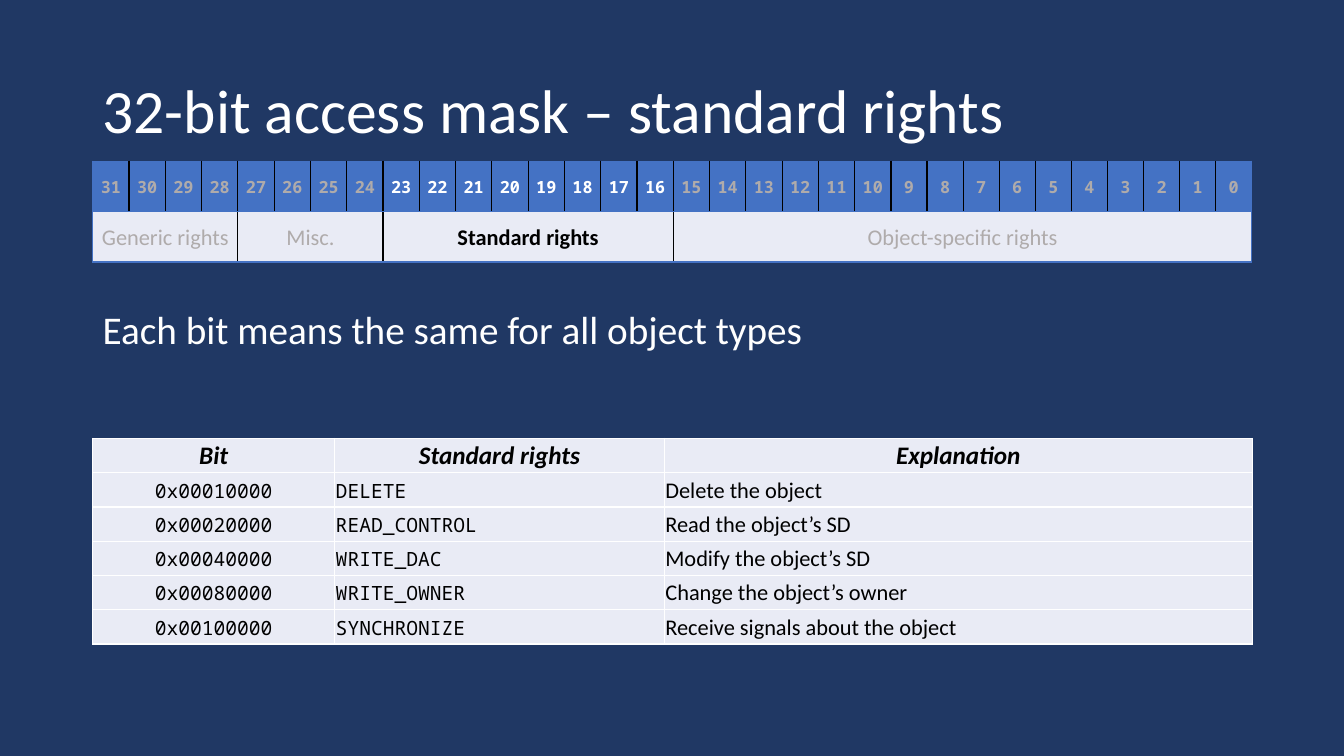
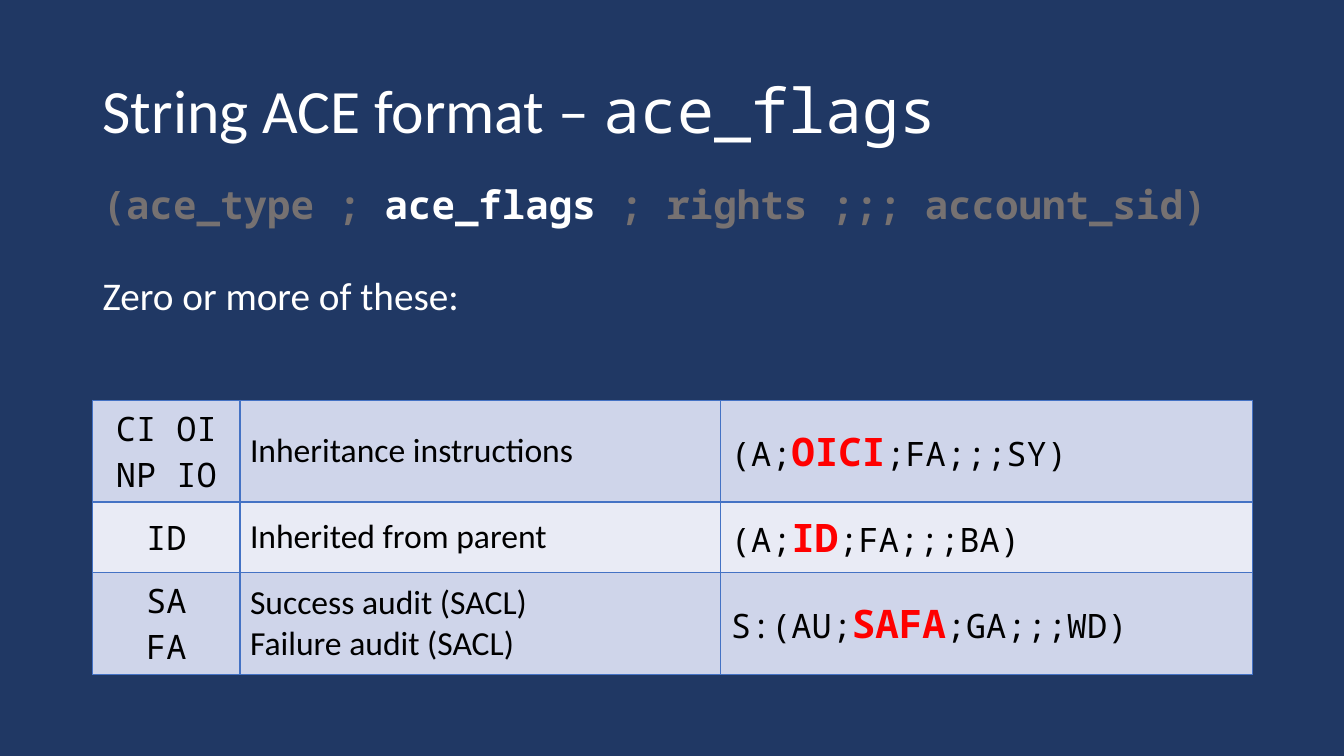
from dataclasses import dataclass, replace

from lxml.etree import SubElement
from pptx import Presentation
from pptx.dml.color import RGBColor
from pptx.enum.text import MSO_ANCHOR, PP_ALIGN
from pptx.oxml.ns import qn
from pptx.util import Inches, Pt


@dataclass(frozen=True)
class Style:
    size: int
    color: str
    font: str = "Calibri"
    bold: bool = False
    italic: bool = False


@dataclass(frozen=True)
class Theme:
    background: str = "203864"
    white: str = "FFFFFF"
    black: str = "000000"
    accent: str = "4472C4"
    band_dark: str = "CFD5EA"
    band_light: str = "E9EBF5"
    faded: str = "AFABAB"
    dimmed: str = "767171"
    highlight: str = "FF0000"
    mono: str = "Noto Sans Mono"
    left: float = 0.92
    width: float = 11.5


@dataclass(frozen=True)
class Cell:
    """Table cell; each paragraph is a list of (text, style) runs."""
    paragraphs: list
    fill: str
    centered: bool = False
    span: int = 1


THEME = Theme()
TITLE = Style(44, THEME.white)
TITLE_CODE = replace(TITLE, font=THEME.mono)
BODY = Style(28, THEME.white)
SYNTAX = Style(28, THEME.white, THEME.mono, bold=True)
SYNTAX_DIMMED = replace(SYNTAX, color=THEME.dimmed)
RIGHTS_HEADER = Style(18, THEME.black, bold=True, italic=True)
RIGHTS_TEXT = Style(16, THEME.black)
RIGHTS_CODE = Style(14, THEME.black, THEME.mono)
BIT_FADED = Style(12, THEME.faded, THEME.mono, bold=True)
BIT_ACTIVE = replace(BIT_FADED, color=THEME.white)
FIELD_FADED = Style(16, THEME.faded)
FIELD_ACTIVE = Style(16, THEME.black, bold=True)
FLAG_TEXT = Style(24, THEME.black)
FLAG_CODE = replace(FLAG_TEXT, font=THEME.mono)
FLAG_MARKED = Style(28, THEME.highlight, THEME.mono, bold=True)

MASK_FIELDS = [("Generic rights", 4), ("Misc.", 4), ("Standard rights", 8), ("Object-specific rights", 16)]
ACTIVE_FIELD = "Standard rights"
RIGHTS_HEADINGS = ["Bit", "Standard rights", "Explanation"]
RIGHTS = [
    ("0x00010000", "DELETE", "Delete the object"),
    ("0x00020000", "READ_CONTROL", "Read the object’s SD"),
    ("0x00040000", "WRITE_DAC", "Modify the object’s SD"),
    ("0x00080000", "WRITE_OWNER", "Change the object’s owner"),
    ("0x00100000", "SYNCHRONIZE", "Receive signals about the object"),
]
ACE_FLAGS = [
    (["CI OI NP IO"], ["Inheritance instructions"], ("(A;", "OICI", ";FA;;;SY)")),
    (["ID"], ["Inherited from parent"], ("(A;", "ID", ";FA;;;BA)")),
    (["SA", "FA"], ["Success audit (SACL)", "Failure audit (SACL)"], ("S:(AU;", "SAFA", ";GA;;;WD)")),
]


def write_runs(paragraph, runs):
    for text, style in runs:
        run = paragraph.add_run()
        run.text = text
        run.font.size = Pt(style.size)
        run.font.name = style.font
        run.font.bold = style.bold
        run.font.italic = style.italic
        run.font.color.rgb = RGBColor.from_string(style.color)


def write_paragraphs(text_frame, paragraphs):
    """Write the paragraphs and return them for further formatting."""
    for index, runs in enumerate(paragraphs):
        paragraph = text_frame.add_paragraph() if index else text_frame.paragraphs[0]
        write_runs(paragraph, runs)
    return text_frame.paragraphs


def add_text(slide, top, height, paragraphs, spaces_before, anchor=MSO_ANCHOR.TOP):
    box = slide.shapes.add_textbox(Inches(THEME.left), Inches(top), Inches(THEME.width), Inches(height))
    box.text_frame.word_wrap = True
    box.text_frame.vertical_anchor = anchor
    for paragraph, space in zip(write_paragraphs(box.text_frame, paragraphs), spaces_before):
        paragraph.line_spacing = 0.9
        paragraph.space_before = Pt(space)


def add_titled_slide(presentation, title_runs):
    slide = presentation.slides.add_slide(presentation.slide_layouts[6])
    slide.background.fill.solid()
    slide.background.fill.fore_color.rgb = RGBColor.from_string(THEME.background)
    add_text(slide, 0.4, 1.45, [title_runs], [0], MSO_ANCHOR.MIDDLE)
    return slide


def set_borders(cell, colors):
    """Draw the left, right, top and bottom borders, 1 point wide."""
    properties = cell._tc.get_or_add_tcPr()
    for side, color in zip("LRTB", colors):
        line = SubElement(properties, qn(f"a:ln{side}"), w=str(Pt(1)))
        SubElement(SubElement(line, qn("a:solidFill")), qn("a:srgbClr"), val=color)


def add_grid(slide, top, widths, heights, rows, edge, divider, margins=None, line_spacing=None):
    """Add a table: edge colours outer and horizontal lines, divider the inner vertical ones."""
    table = slide.shapes.add_table(
        len(heights), len(widths), Inches(THEME.left), Inches(top), Inches(sum(widths)), Inches(sum(heights))
    ).table
    table.first_row = table.horz_banding = False
    for column, width in zip(table.columns, widths):
        column.width = Inches(width)
    for row, height in zip(table.rows, heights):
        row.height = Inches(height)
    for row_index, row in enumerate(rows):
        start = 0
        for content in row:
            end = start + content.span
            cell = table.cell(row_index, start)
            if content.span > 1:
                cell.merge(table.cell(row_index, end - 1))
            left_color = divider if start else edge
            right_color = divider if end < len(widths) else edge
            for column_index in range(start, end):
                covered = table.cell(row_index, column_index)
                set_borders(covered, (left_color, right_color, edge, edge))
                covered.fill.solid()
                covered.fill.fore_color.rgb = RGBColor.from_string(content.fill)
            cell.vertical_anchor = MSO_ANCHOR.MIDDLE
            if margins:
                cell.margin_left, cell.margin_top, cell.margin_right, cell.margin_bottom = map(Inches, margins)
            for paragraph in write_paragraphs(cell.text_frame, content.paragraphs):
                paragraph.alignment = PP_ALIGN.CENTER if content.centered else PP_ALIGN.LEFT
                if line_spacing:
                    paragraph.line_spacing = line_spacing
            start = end


def add_rights_table(slide):
    rows = [[Cell([[(heading, RIGHTS_HEADER)]], THEME.band_light, True) for heading in RIGHTS_HEADINGS]]
    styles = (RIGHTS_CODE, RIGHTS_CODE, RIGHTS_TEXT)
    for right in RIGHTS:
        rows.append([
            Cell([[(text, style)]], THEME.band_light, centered=index == 0)
            for index, (text, style) in enumerate(zip(right, styles))
        ])
    add_grid(slide, 4.35, [2.4, 3.27, 5.83], [0.34] * len(rows), rows,
             THEME.white, THEME.white, margins=(0.01, 0.01, 0.01, 0))


def add_mask_table(slide):
    bits, fields = [], []
    bit = sum(size for _, size in MASK_FIELDS)
    for name, size in MASK_FIELDS:
        active = name == ACTIVE_FIELD
        field_style = FIELD_ACTIVE if active else FIELD_FADED
        fields.append(Cell([[(name, field_style)]], THEME.band_light, True, size))
        for _ in range(size):
            bit -= 1
            bits.append(Cell([[(str(bit), BIT_ACTIVE if active else BIT_FADED)]], THEME.accent, True))
    two_digit_width, one_digit_count = 0.36, 10
    two_digit_count = len(bits) - one_digit_count
    one_digit_width = (THEME.width - two_digit_width * two_digit_count) / one_digit_count
    widths = [two_digit_width] * two_digit_count + [one_digit_width] * one_digit_count
    add_grid(slide, 1.6, widths, [0.5, 0.5], [bits, fields], THEME.accent, THEME.black,
             margins=(0.07, 0, 0.07, 0), line_spacing=1.07)


def add_flags_table(slide):
    rows = []
    for index, (flags, meanings, (before, marked, after)) in enumerate(ACE_FLAGS):
        fill = THEME.band_light if index % 2 else THEME.band_dark
        example = [(before, FLAG_CODE), (marked, FLAG_MARKED), (after, FLAG_CODE)]
        rows.append([
            Cell([[(flag, FLAG_CODE)] for flag in flags], fill, True),
            Cell([[(meaning, FLAG_TEXT)] for meaning in meanings], fill),
            Cell([example], fill),
        ])
    add_grid(slide, 3.97, [1.46, 4.77, 5.27], [1.01, 0.7, 1.01], rows, THEME.accent, THEME.accent)


def main():
    presentation = Presentation()
    presentation.slide_width, presentation.slide_height = Inches(13.33), Inches(7.5)

    mask_slide = add_titled_slide(presentation, [("32-bit access mask – standard rights", TITLE)])
    add_text(mask_slide, 3.03, 1, [[("Each bit means the same for all object types", BODY)]], [10])
    add_rights_table(mask_slide)
    add_mask_table(mask_slide)

    flags_slide = add_titled_slide(presentation, [("String ACE format – ", TITLE), ("ace_flags", TITLE_CODE)])
    syntax = [("(ace_type ; ", SYNTAX_DIMMED), ("ace_flags ", SYNTAX), ("; rights ;;; account_sid)", SYNTAX_DIMMED)]
    add_text(flags_slide, 1.79, 1.8, [syntax, [("Zero or more of these:", BODY)]], [10, 35])
    add_flags_table(flags_slide)

    presentation.save("out.pptx")


if __name__ == "__main__":
    main()
